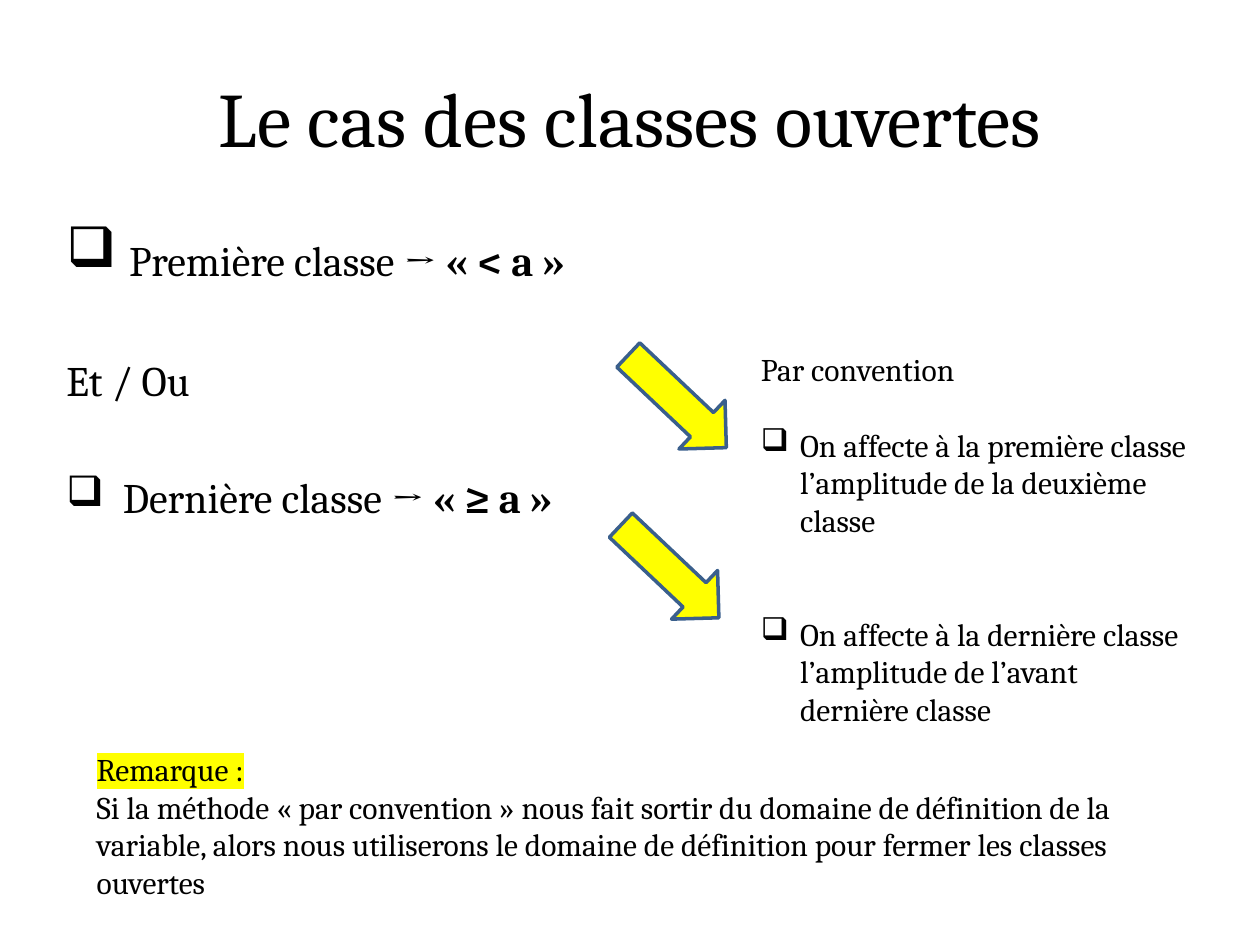
from dataclasses import dataclass
from typing import Optional

from lxml.etree import SubElement
from pptx import Presentation
from pptx.dml.color import RGBColor
from pptx.enum.shapes import MSO_SHAPE
from pptx.enum.text import MSO_ANCHOR, MSO_AUTO_SIZE, PP_ALIGN
from pptx.oxml.ns import qn
from pptx.util import Cm, Pt

BLACK = RGBColor(0x00, 0x00, 0x00)
YELLOW = RGBColor(0xFF, 0xFF, 0x00)
BLUE = RGBColor(0x3A, 0x5F, 0x8C)


@dataclass
class Piece:
    text: str
    bold: Optional[bool] = None
    size: Optional[float] = None
    font: Optional[str] = None
    highlight: Optional[RGBColor] = None


@dataclass
class Line:
    pieces: list[Piece]
    size: float
    before: float = 0
    bullet_indent: float = 0
    align: PP_ALIGN = PP_ALIGN.LEFT


@dataclass
class Block:
    left: float
    top: float
    width: float
    height: float
    lines: list[Line]
    anchor: MSO_ANCHOR = MSO_ANCHOR.TOP
    grows: bool = False


def add_bullet(paragraph, indent: float) -> None:
    properties = paragraph._p.get_or_add_pPr()
    properties.set("marL", str(Cm(indent)))
    properties.set("indent", str(-Cm(indent)))
    SubElement(properties, qn("a:buChar")).set("char", "❑")


def add_piece(paragraph, piece: Piece) -> None:
    run = paragraph.add_run()
    run.text = piece.text
    if piece.bold:
        run.font.bold = True
    if piece.size:
        run.font.size = Pt(piece.size)
    if piece.highlight is not None:
        mark = SubElement(run._r.get_or_add_rPr(), qn("a:highlight"))
        SubElement(mark, qn("a:srgbClr")).set("val", str(piece.highlight))
    if piece.font:
        run.font.name = piece.font


def add_block(slide, block: Block) -> None:
    frame = slide.shapes.add_textbox(
        Cm(block.left), Cm(block.top), Cm(block.width), Cm(block.height)
    ).text_frame
    frame.word_wrap = True
    frame.vertical_anchor = block.anchor
    if block.grows:
        frame.auto_size = MSO_AUTO_SIZE.SHAPE_TO_FIT_TEXT
    for index, line in enumerate(block.lines):
        paragraph = frame.add_paragraph() if index else frame.paragraphs[0]
        paragraph.alignment = line.align
        if line.before:
            paragraph.space_before = Pt(line.before)
        if line.bullet_indent:
            add_bullet(paragraph, line.bullet_indent)
        paragraph.font.size = Pt(line.size)
        paragraph.font.name = "Cambria"
        paragraph.font.color.rgb = BLACK
        for piece in line.pieces:
            add_piece(paragraph, piece)


def add_arrow(slide, left: float, top: float) -> None:
    arrow = slide.shapes.add_shape(
        MSO_SHAPE.DOWN_ARROW, Cm(left), Cm(top), Cm(1.35), Cm(2.72)
    )
    arrow.rotation = 313.4
    arrow.shadow.inherit = False
    arrow.fill.solid()
    arrow.fill.fore_color.rgb = YELLOW
    arrow.line.color.rgb = BLUE
    arrow.line.width = Pt(2)


TITLE = Block(1.27, 0.76, 22.86, 3.18, [
    Line([Piece("Le cas des classes ouvertes")], 44, align=PP_ALIGN.CENTER),
], anchor=MSO_ANCHOR.MIDDLE)

OPEN_CLASSES = Block(1.09, 4.32, 12.4, 7.19, [
    Line([Piece(" ", size=32, font="Calibri"), Piece("Première classe → "),
          Piece("« < a »", bold=True)], 24, bullet_indent=0.95),
    Line([Piece("Et / Ou")], 24, before=38),
    Line([Piece(" Dernière classe → "), Piece("« ≥ a »", bold=True)],
         24, before=38, bullet_indent=0.95),
])

CONVENTION = Block(15.09, 6.93, 9.19, 7.95, [
    Line([Piece("Par convention")], 18),
    Line([Piece("On affecte à la première classe l’amplitude de la deuxième "
                "classe")], 18, before=21.6, bullet_indent=0.79),
    Line([Piece("On affecte à la dernière classe l’amplitude de l’avant "
                "dernière classe")], 18, before=43.2, bullet_indent=0.79),
], grows=True)

REMARK = Block(1.7, 14.99, 22.61, 3.33, [
    Line([Piece("Remarque :", highlight=YELLOW)], 18),
    Line([Piece("Si la méthode « par convention » nous fait sortir du domaine "
                "de définition de la variable, alors nous utiliserons le "
                "domaine de définition pour fermer les classes ouvertes")], 18),
], grows=True)

ARROWS = [(12.98, 6.73), (12.83, 10.16)]


def main() -> None:
    presentation = Presentation()
    presentation.slide_width = Cm(25.4)
    presentation.slide_height = Cm(19.05)
    slide = presentation.slides.add_slide(presentation.slide_layouts[6])

    # Title, the two open classes and the convention for closing them
    for block in (TITLE, OPEN_CLASSES, CONVENTION):
        add_block(slide, block)

    # Arrows from each open class to its convention
    for left, top in ARROWS:
        add_arrow(slide, left, top)

    # Closing remark
    add_block(slide, REMARK)

    presentation.save("out.pptx")


if __name__ == "__main__":
    main()
